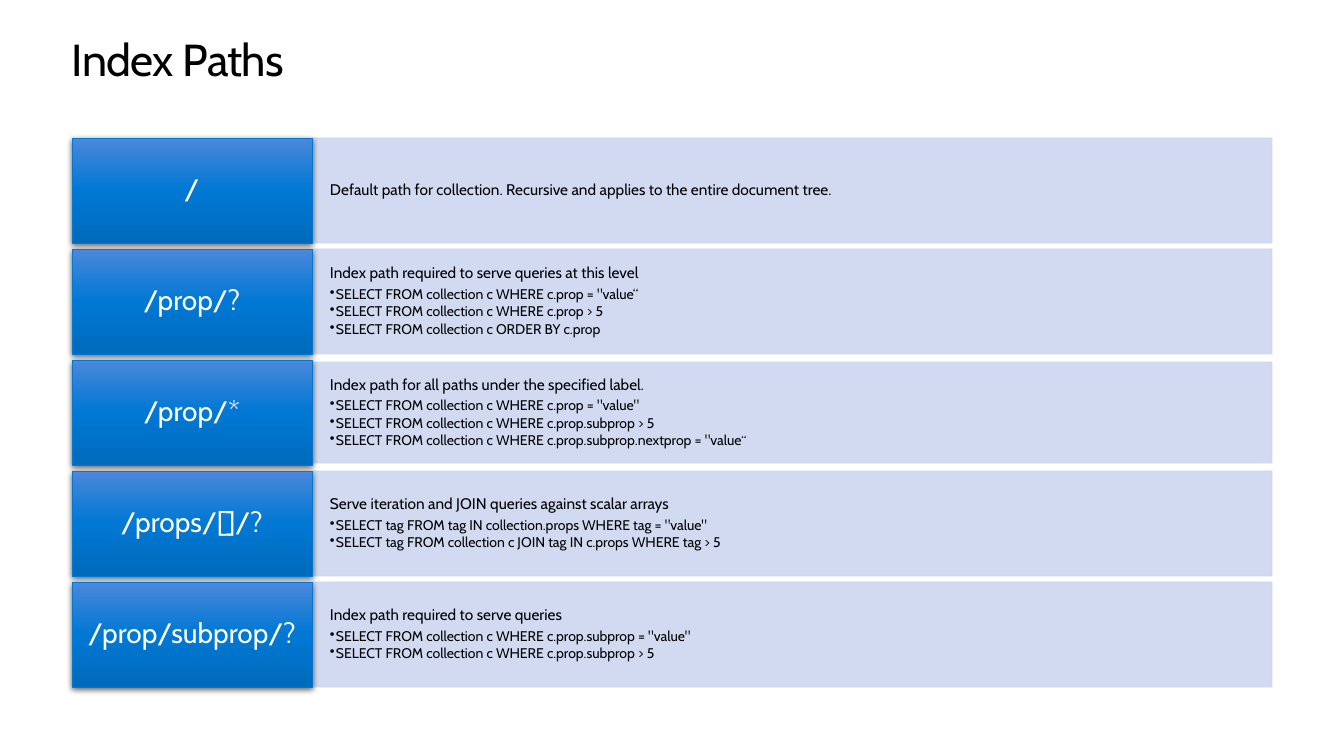
from dataclasses import dataclass

from lxml.etree import SubElement
from pptx import Presentation
from pptx.dml.color import RGBColor
from pptx.enum.shapes import MSO_SHAPE
from pptx.enum.text import MSO_ANCHOR, PP_ALIGN
from pptx.oxml.ns import qn
from pptx.util import Emu, Pt


@dataclass(frozen=True)
class Theme:
    """Colours and type sizes of the slide."""
    font: str = "Cabin"
    ink: str = "000000"
    white: str = "FFFFFF"
    pale: str = "CCD6EF"
    blue: str = "0078D4"
    fade: tuple = ((0, "4B88DB"), (50, "0078D4"), (100, "006BBC"))
    title: int = 32
    label: int = 20
    lead: int = 11
    item: int = 10
    small: int = 9


THEME = Theme()
SCALE = 914400 / 100.8
ROWS = [
    ("/", "Default path for collection. Recursive and applies to the entire document tree.", [], 0),
    ("/prop/?", "Index path required to serve queries at this level", [
        ('SELECT FROM collection c WHERE c.prop = "value“', ""),
        ("SELECT FROM collection c WHERE c.prop > 5", ""),
        ("SELECT FROM collection c ORDER BY c.prop", "")], 0),
    ("/prop/*", "Index path for all paths under the specified label.", [
        ('SELECT FROM collection c WHERE c.prop = "value"', ""),
        ("SELECT FROM collection c WHERE c.prop.subprop > 5", ""),
        ('SELECT FROM collection c WHERE c.prop.subprop.nextprop = "value', "“")], 2),
    ("/props/[]/?", "Serve iteration and JOIN queries against scalar arrays", [
        ('SELECT tag FROM tag IN collection.props WHERE tag = "value"', ""),
        ("SELECT tag FROM collection c JOIN tag IN c.props WHERE tag > 5", "")], 0),
    ("/prop/subprop/?", "Index path required to serve queries", [
        ('SELECT FROM collection c WHERE c.prop.subprop = "value"', ""),
        ("SELECT FROM collection c WHERE c.prop.subprop > 5", "")], 0),
]


def px(count):
    """Turn px into EMU."""
    return Emu(round(count * SCALE))


def node(parent, tag, **attrs):
    """Add an XML child with the given attributes."""
    child = SubElement(parent, qn(tag))
    for name, value in attrs.items():
        child.set(name, str(value))
    return child


def write(frame, text, size=THEME.lead, color=THEME.ink, align=PP_ALIGN.LEFT,
          lines=0.9, after=0.35, bullet=False, track=0, tail=""):
    """Add one paragraph to a text frame."""
    para = frame.paragraphs[0]
    if para.runs:
        para = frame.add_paragraph()
    para.alignment = align
    para.line_spacing = lines
    para.space_after = Pt(size * after)
    if bullet:
        para.level = 1
        props = para._p.get_or_add_pPr()
        props.set("marL", str(px(6)))
        props.set("indent", str(-px(6)))
        node(props, "a:buChar", char="•")
    for part, points in ((text, size), (tail, THEME.small)):
        if part:
            run = para.add_run()
            run.text = part
            run.font.name = THEME.font
            run.font.size = Pt(points)
            run.font.color.rgb = RGBColor.from_string(color)
            if track:
                run._r.get_or_add_rPr().set("spc", str(track))


def setup(frame, side, edge, anchor=MSO_ANCHOR.MIDDLE):
    """Set wrap, margins and anchor of a text frame."""
    frame.word_wrap = True
    frame.vertical_anchor = anchor
    frame.margin_left = frame.margin_right = px(side)
    frame.margin_top = frame.margin_bottom = px(edge)
    return frame


def panel(slide, box, line):
    """Add a plain outlined box."""
    shape = slide.shapes.add_shape(MSO_SHAPE.RECTANGLE, *map(px, box))
    shape.shadow.inherit = False
    shape.line.color.rgb = RGBColor.from_string(line)
    shape.line.width = Pt(0.5)
    return shape


def header(slide, box, text):
    """Add the slide title."""
    frame = slide.shapes.add_textbox(*map(px, box)).text_frame
    setup(frame, 0, 0, MSO_ANCHOR.TOP)
    write(frame, text, size=THEME.title, lines=Pt(36.2), after=0, track=-50)


def detail(slide, box, lead, items):
    """Add the pale panel with a lead line and its queries."""
    shape = panel(slide, box, THEME.pale)
    shape.fill.solid()
    shape.fill.fore_color.rgb = RGBColor.from_string(THEME.pale)
    for color in list(shape._element.spPr.iter(qn("a:srgbClr"))):
        node(color, "a:alpha", val=90000)
    frame = setup(shape.text_frame, 18, 26)
    write(frame, lead)
    for text, tail in items:
        write(frame, text, size=THEME.item, after=0.15, bullet=True, tail=tail)


def label(slide, box, text):
    """Add the blue label with its fade and shadow."""
    shape = panel(slide, box, THEME.blue)
    shape.fill.gradient()
    shape.fill.gradient_angle = 270
    props = shape._element.spPr
    stops = props.find(".//" + qn("a:gsLst"))
    for stop in list(stops):
        stops.remove(stop)
    for place, color in THEME.fade:
        node(node(stops, "a:gs", pos=place * 1000), "a:srgbClr", val=color)
    shadow = node(props.find(qn("a:effectLst")), "a:outerShdw", blurRad=Pt(4.5),
                  dist=Pt(1.5), dir=5400000, algn="ctr", rotWithShape=0)
    node(node(shadow, "a:srgbClr", val=THEME.ink), "a:alpha", val=63000)
    write(setup(shape.text_frame, 13, 10), text, size=THEME.label,
          color=THEME.white, align=PP_ALIGN.CENTER)


def table(slide, box, rows, head=240, gap=6):
    """Stack the rows of labels and details in the box."""
    left, top, width, height = box
    pitch = (height + gap) // len(rows)
    tall = pitch - gap
    for index, (name, lead, items, inset) in enumerate(rows):
        y = top + index * pitch
        detail(slide, (left + head, y + inset, width - head, tall - 2 * inset), lead, items)
        label(slide, (left, y, head, tall), name)


def main():
    """Build and save the slide."""
    deck = Presentation()
    deck.slide_width, deck.slide_height = px(1344), px(756)
    slide = deck.slides.add_slide(deck.slide_layouts[6])
    header(slide, (72, 35, 1200, 50), "Index Paths")
    table(slide, (72, 138, 1200, 549), ROWS)
    deck.save("out.pptx")


if __name__ == "__main__":
    main()
